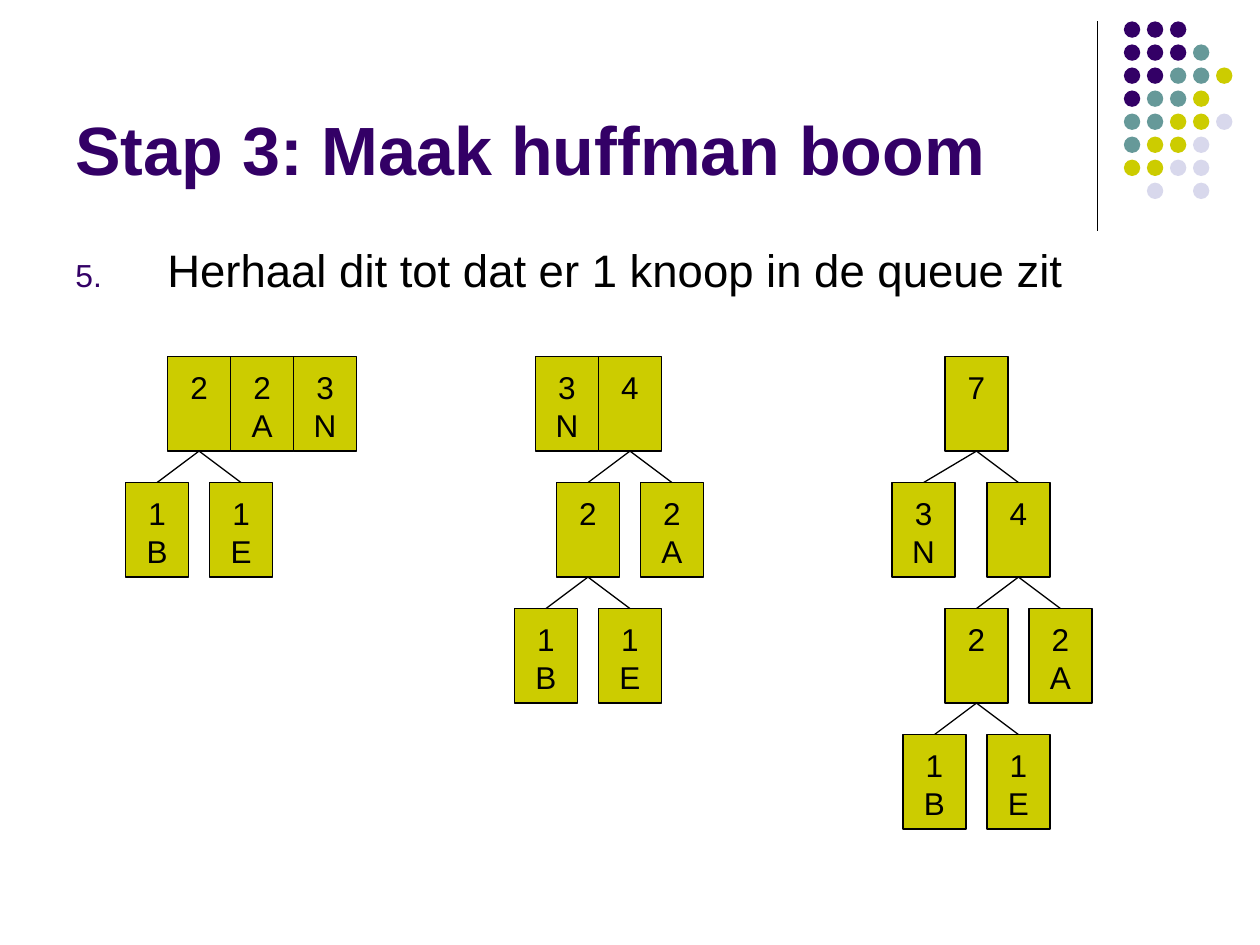
from lxml.etree import SubElement
from pptx import Presentation
from pptx.dml.color import RGBColor
from pptx.enum.shapes import MSO_CONNECTOR, MSO_SHAPE
from pptx.enum.text import MSO_ANCHOR as Anchor, PP_ALIGN as Align
from pptx.oxml.ns import qn
from pptx.util import Inches, Pt

COLORS = {"purple": "330066", "teal": "669999", "lime": "CCCC00",
          "pale": "D8D8EC", "black": "000000"}
TITLE = "Stap 3: Maak huffman boom"
STEP = "Herhaal dit tot dat er 1 knoop in de queue zit"
STEP_NUMBER = 5

DOT_ROWS = ["PPP", "PPPT", "PPTTL", "PTTL", "TTLLV", "TLLV", "LLVV", " V V"]
DOT_COLORS = {"P": "purple", "T": "teal", "L": "lime", "V": "pale"}
DOT_LEFT, DOT_TOP, DOT_SIZE, DOT_PITCH = 8.92, 0.17, 0.13, 1.28 / 7

NODE_WIDTH, NODE_HEIGHT, LEVEL_HEIGHT = 0.5, 0.75, 1
QUEUE_TOP = 2.83
SPREAD = 1 / 3


def leaf(label):
    return {"label": label, "children": []}


def branch(label, left, right, left_spread=SPREAD):
    return {"label": label, "children": [(-left_spread, left), (SPREAD, right)]}


PAIR = branch("2", leaf("1\nB"), leaf("1\nE"))
FOUR = branch("4", PAIR, leaf("2\nA"))
SEVEN = branch("7", leaf("3\nN"), FOUR, left_spread=0.42)
QUEUES = [
    (1.33, [PAIR, leaf("2\nA"), leaf("3\nN")]),
    (4.25, [leaf("3\nN"), FOUR]),
    (7.5, [SEVEN]),
]


def color(name):
    return RGBColor.from_string(COLORS[name])


def write(shape, text, size, color_name, bold=False, align=Align.LEFT):
    shape.text_frame.text = text
    for paragraph in shape.text_frame.paragraphs:
        paragraph.alignment = align
        for run in paragraph.runs:
            run.font.name = "Arial"
            run.font.size = Pt(size)
            run.font.bold = bold
            run.font.color.rgb = color(color_name)


def add_line(slide, x1, y1, x2, y2):
    line = slide.shapes.add_connector(
        MSO_CONNECTOR.STRAIGHT, Inches(x1), Inches(y1), Inches(x2), Inches(y2))
    line.line.color.rgb = color("black")
    line.line.width = Pt(0.75)
    SubElement(line._element.spPr, qn("a:effectLst"))


def add_solid(slide, kind, left, top, width, height, fill):
    shape = slide.shapes.add_shape(
        kind, Inches(left), Inches(top), Inches(width), Inches(height))
    shape.shadow.inherit = False
    shape.fill.solid()
    shape.fill.fore_color.rgb = color(fill)
    return shape


def add_dots(slide):
    for row, codes in enumerate(DOT_ROWS):
        for column, code in enumerate(codes):
            if code in DOT_COLORS:
                dot = add_solid(slide, MSO_SHAPE.OVAL, DOT_LEFT + column * DOT_PITCH,
                                DOT_TOP + row * DOT_PITCH, DOT_SIZE, DOT_SIZE,
                                DOT_COLORS[code])
                dot.line.fill.background()


def add_title(slide):
    title = slide.shapes.add_textbox(Inches(0.5), Inches(0.13), Inches(8.25), Inches(1.42))
    title.text_frame.word_wrap = True
    title.text_frame.vertical_anchor = Anchor.BOTTOM
    write(title, TITLE, 39, "purple", bold=True)


def add_step(slide):
    step = slide.shapes.add_textbox(Inches(0.5), Inches(1.92), Inches(9), Inches(0.6))
    step.text_frame.word_wrap = True
    write(step, STEP, 26, "black")
    paragraph = step.text_frame.paragraphs[0]
    paragraph.line_spacing = 0.9
    paragraph.space_before = Pt(6.5)
    properties = paragraph._p.get_or_add_pPr()
    properties.set("marL", str(Inches(0.73)))
    properties.set("indent", str(-Inches(0.73)))
    bullet_color = SubElement(properties, qn("a:buClr"))
    SubElement(bullet_color, qn("a:srgbClr"), val=COLORS["purple"])
    SubElement(properties, qn("a:buSzPct"), val="70000")
    SubElement(properties, qn("a:buFont"), typeface="Arial")
    SubElement(properties, qn("a:buAutoNum"), type="arabicPeriod", startAt=str(STEP_NUMBER))


def add_tree(slide, node, left, top):
    box = add_solid(slide, MSO_SHAPE.RECTANGLE, left, top, NODE_WIDTH, NODE_HEIGHT, "lime")
    box.line.color.rgb = color("black")
    box.line.width = Pt(0.75)
    frame = box.text_frame
    frame.word_wrap = False
    frame.vertical_anchor = Anchor.TOP
    frame.margin_top = Inches(0.09)
    write(box, node["label"], 18, "black", align=Align.CENTER)
    center = left + NODE_WIDTH / 2
    for offset, child in node["children"]:
        add_line(slide, center, top + NODE_HEIGHT, center + offset, top + LEVEL_HEIGHT)
        add_tree(slide, child, left + offset, top + LEVEL_HEIGHT)


def main():
    presentation = Presentation()
    presentation.slide_width = Inches(10)
    presentation.slide_height = Inches(7.5)
    slide = presentation.slides.add_slide(presentation.slide_layouts[6])
    add_line(slide, 8.71, 0.17, 8.71, 1.83)
    add_dots(slide)
    add_title(slide)
    add_step(slide)
    for queue_left, nodes in QUEUES:
        for position, node in enumerate(nodes):
            add_tree(slide, node, queue_left + position * NODE_WIDTH, QUEUE_TOP)
    presentation.save("out.pptx")


if __name__ == "__main__":
    main()
